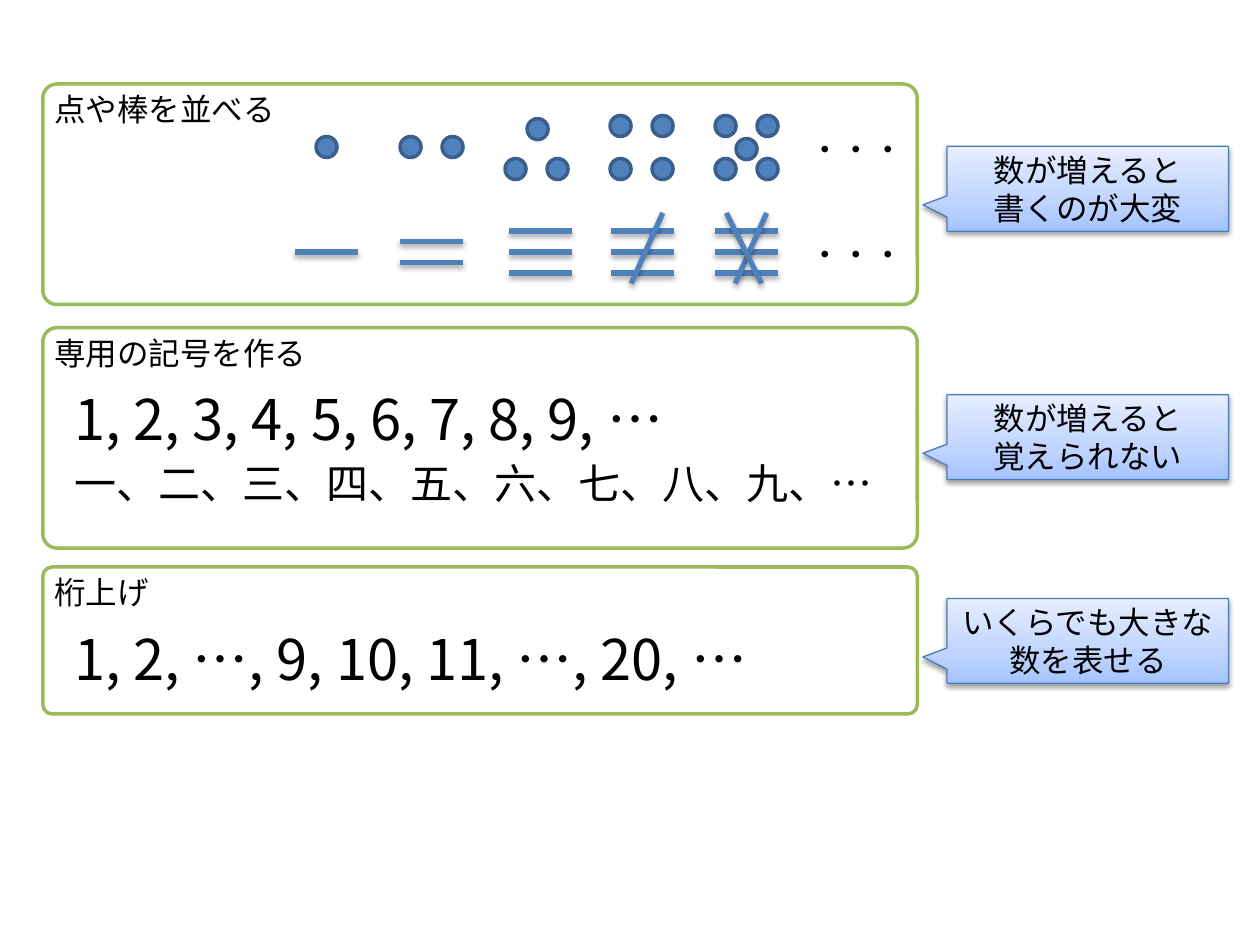
from lxml.etree import SubElement
from pptx import Presentation
from pptx.dml.color import RGBColor
from pptx.enum.shapes import MSO_CONNECTOR as Connector, MSO_SHAPE as Shape
from pptx.enum.text import MSO_ANCHOR as Anchor, MSO_AUTO_SIZE as AutoSize, PP_ALIGN as Align
from pptx.oxml.ns import qn
from pptx.util import Inches, Pt

COLUMNS, ROWS = 60, 45
PANEL_LEFT, PANEL_WIDTH = 2.04, 41.64
CALLOUT_LEFT, CALLOUT_WIDTH, CALLOUT_HEIGHT = 45.1, 13.4, 4.04


def color(value):
    return RGBColor.from_string(value)


class SlideBuilder:
    """Draws on one slide, with lengths in columns and rows of the grid."""

    font = "Noto Sans CJK JP"
    black, white, green = "000000", "FFFFFF", "9BBB59"
    blue, dark_blue, callout_line = "4F81BD", "3A5F8C", "4B7EBC"
    callout_stops = ((0, "A4C4FF"), (35, "BFD4FF"), (100, "E6EEFF"))

    def __init__(self, presentation):
        self.slide = presentation.slides.add_slide(presentation.slide_layouts[6])
        self.column = presentation.slide_width / COLUMNS
        self.row = presentation.slide_height / ROWS

    def place(self, left, top, width, height):
        return (round(left * self.column), round(top * self.row),
                round(width * self.column), round(height * self.row))

    def set_text(self, frame, lines, size, align=Align.LEFT):
        frame.text = "\n".join(lines)
        for paragraph in frame.paragraphs:
            paragraph.alignment = align
            font = paragraph.font
            font.name, font.size = self.font, Pt(size)
            font.color.rgb = color(self.black)
            default = paragraph._p.pPr.find(qn("a:defRPr"))
            SubElement(default, qn("a:ea"), typeface=self.font)

    def shape(self, kind, box, line, line_width, fill=None):
        shape = self.slide.shapes.add_shape(kind, *self.place(*box))
        shape.shadow.inherit = False
        shape.line.color.rgb = color(line)
        shape.line.width = Pt(line_width)
        if fill:
            shape.fill.solid()
            shape.fill.fore_color.rgb = color(fill)
        return shape

    def shadow(self, shape, opacity, distance):
        properties = shape._element.spPr
        effects = properties.find(qn("a:effectLst"))
        if effects is None:
            effects = SubElement(properties, qn("a:effectLst"))
        outer = SubElement(effects, qn("a:outerShdw"), blurRad=str(Pt(3.1)),
                           dist=str(Pt(distance)), dir="5400000", rotWithShape="0")
        shade = SubElement(outer, qn("a:srgbClr"), val=self.black)
        SubElement(shade, qn("a:alpha"), val=str(opacity * 1000))

    def text(self, left, top, width, height, words, size=18):
        box = self.slide.shapes.add_textbox(*self.place(left, top, width, height))
        box.text_frame.word_wrap = False
        box.text_frame.auto_size = AutoSize.SHAPE_TO_FIT_TEXT
        self.set_text(box.text_frame, [words], size)

    def panel(self, top, height, heading, heading_width):
        panel = self.shape(Shape.ROUNDED_RECTANGLE, (PANEL_LEFT, top, PANEL_WIDTH, height),
                           self.green, 2, self.white)
        panel.adjustments[0] = 0.064
        self.text(2, top, heading_width, 2.4, heading)

    def dot(self, left, top):
        self.shape(Shape.OVAL, (left, top, 1, 1), self.dark_blue, 2, self.blue)

    def stroke(self, x1, y1, x2, y2):
        start_x, start_y, end_x, end_y = self.place(x1, y1, x2, y2)
        stroke = self.slide.shapes.add_connector(Connector.STRAIGHT, start_x, start_y, end_x, end_y)
        stroke.line.color.rgb = color(self.blue)
        stroke.line.width = Pt(3)
        self.shadow(stroke, 35, 1.8)

    def callout(self, top, *lines):
        box = (CALLOUT_LEFT, top, CALLOUT_WIDTH, CALLOUT_HEIGHT)
        callout = self.shape(Shape.RECTANGULAR_CALLOUT, box, self.callout_line, 0.75)
        callout.adjustments[0], callout.adjustments[1] = -0.586, 0.19
        callout.fill.gradient()
        callout.fill.gradient_angle = 90
        stops = callout._element.spPr.find(qn("a:gradFill")).find(qn("a:gsLst"))
        for stop in list(stops):
            stops.remove(stop)
        for position, value in self.callout_stops:
            stop = SubElement(stops, qn("a:gs"), pos=str(position * 1000))
            SubElement(stop, qn("a:srgbClr"), val=value)
        self.shadow(callout, 38, 1.6)
        callout.text_frame.word_wrap = True
        callout.text_frame.vertical_anchor = Anchor.MIDDLE
        self.set_text(callout.text_frame, lines, 18, Align.CENTER)


def draw_tallies(builder):
    """Counts from one to five, in dots above and in bars below."""
    top, middle, bottom = 5.5, 6.5, 7.55
    square = [(0, top), (2, top), (0, bottom), (2, bottom)]
    dots = (
        (15.05, [(0, middle)]),
        (19.05, [(0, middle), (2, middle)]),
        (24.05, [(1.05, 5.65), (0, bottom), (2, bottom)]),
        (29.05, square),
        (34.05, square + [(1, 6.6)]),
    )
    for left, places in dots:
        for across, down in places:
            builder.dot(left + across, down)

    rising, falling = (0.96, 13.5, 2.46, 10.14), (2.22, 13.5, 0.54, 10.14)
    bars = ((14.05, 1, ()), (19.05, 2, ()), (24.25, 3, ()),
            (29.1, 3, (rising,)), (34.05, 3, (rising, falling)))
    for left, count, slashes in bars:
        for index in range(count):
            height = 12 + index - (count - 1) / 2
            builder.stroke(left, height, left + 3, height)
        for x1, y1, x2, y2 in slashes:
            builder.stroke(left + x1, y1, left + x2, y2)

    for height in (5.9, 10.9):
        builder.text(37.95, height, 5.75, 2.4, "・・・")


def main():
    presentation = Presentation()
    presentation.slide_width, presentation.slide_height = Inches(10), Inches(7.5)
    builder = SlideBuilder(presentation)

    builder.panel(4, 10.5, "点や棒を並べる", 11.8)
    draw_tallies(builder)
    builder.panel(15.6, 10.5, "専用の記号を作る", 13.3)
    builder.text(2.95, 18, 35.65, 3.85, "1, 2, 3, 4, 5, 6, 7, 8, 9, …", 32)
    builder.text(2.95, 21.5, 39.6, 3, "一、二、三、四、五、六、七、八、九、…", 24)
    builder.panel(27, 7, "桁上げ", 5.75)
    builder.text(2.95, 29.45, 39.2, 3.85, "1, 2, …, 9, 10, 11, …, 20, …", 32)

    builder.callout(6.97, "数が増えると", "書くのが大変")
    builder.callout(18.8, "数が増えると", "覚えられない")
    builder.callout(28.5, "いくらでも大きな数を表せる")
    presentation.save("out.pptx")


if __name__ == "__main__":
    main()
